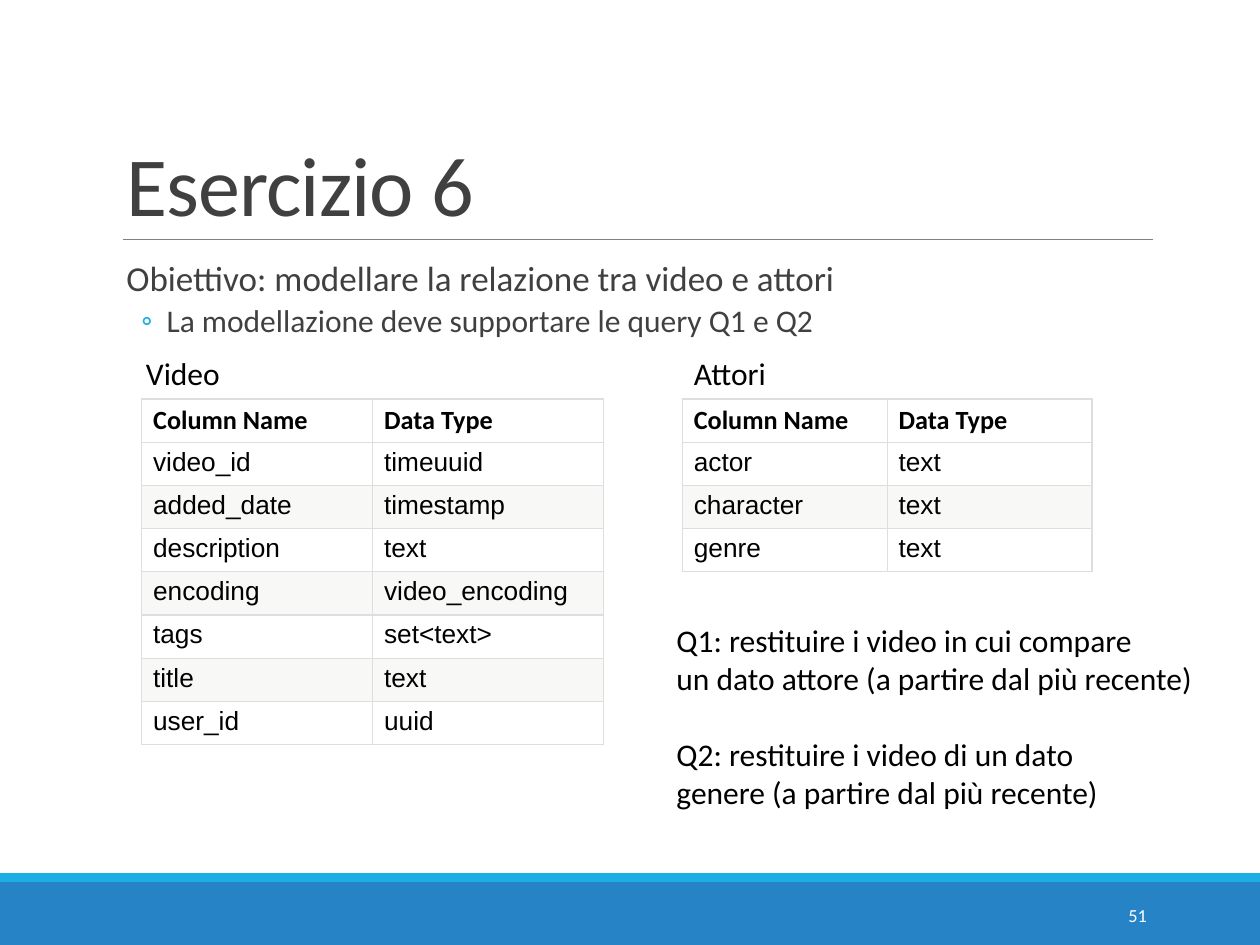
from dataclasses import dataclass

from lxml import etree
from pptx import Presentation
from pptx import util as u
from pptx.dml.color import RGBColor
from pptx.enum import shapes, text
from pptx.oxml import ns

Pt = u.Pt
BLACK, GREY, WHITE, CYAN, BLUE = "000000", "404040", "FFFFFF", "1CADE4", "2683C6"
STRIPE, BORDER, RULE = "F8F8F7", "DEDEDE", "808080"
ROW_H = 24.7


@dataclass
class Schema:
    left: float
    top: float
    col_w: float
    columns: list[tuple[str, str]]


@dataclass
class Label:
    left: float
    top: float
    width: float
    height: float
    paragraphs: list[str]


SCHEMAS = [
    Schema(81, 228, 132, [
        ("video_id", "timeuuid"), ("added_date", "timestamp"),
        ("description", "text"), ("encoding", "video_encoding"),
        ("tags", "set<text>"), ("title", "text"), ("user_id", "uuid"),
    ]),
    Schema(390, 228, 117, [
        ("actor", "text"), ("character", "text"), ("genre", "text"),
    ]),
]

LABELS = [
    Label(76.3, 199, 57.6, 29, ["Video"]),
    Label(389.5, 199, 56, 29, ["Attori"]),
    Label(379.5, 351.5, 313, 116.5, [
        "Q1: restituire i video in cui compare\nun dato attore (a partire dal più recente)",
        "Q2: restituire i video di un dato\ngenere (a partire dal più recente)",
    ]),
]


def rgb(value: str) -> RGBColor:
    return RGBColor.from_string(value)


def sub(parent, tag: str, **attrs):
    """Append a DrawingML child element."""
    return etree.SubElement(parent, ns.qn(tag), attrs)


def add_run(p, words: str, size: float, color: str, font="Calibri", bold=False):
    r = p.add_run()
    r.text = words
    r.font.size, r.font.name, r.font.bold = Pt(size), font, bold
    r.font.color.rgb = rgb(color)
    return r


def add_box(s, left: float, top: float, width: float, height: float,
            anchor=text.MSO_ANCHOR.TOP):
    tf = s.shapes.add_textbox(Pt(left), Pt(top), Pt(width), Pt(height)).text_frame
    tf.word_wrap = True
    tf.vertical_anchor = anchor
    return tf


def add_band(s, top: float, height: float, color: str) -> None:
    sp = s.shapes.add_shape(shapes.MSO_SHAPE.RECTANGLE, 0, Pt(top), Pt(720), Pt(height))
    sp.shadow.inherit = False
    sp.fill.solid()
    sp.fill.fore_color.rgb = rgb(color)
    sp.line.fill.background()


def add_rule(s) -> None:
    line = s.shapes.add_connector(
        shapes.MSO_CONNECTOR.STRAIGHT, Pt(70.5), Pt(137), Pt(659), Pt(137))
    line.line.color.rgb = rgb(RULE)
    line.line.width = Pt(0.5)
    sub(line._element.spPr, "a:effectLst")


def add_title(s) -> None:
    tf = add_box(s, 65, 22.5, 594, 114.5, text.MSO_ANCHOR.BOTTOM)
    p = tf.paragraphs[0]
    p.line_spacing = 0.85
    r = add_run(p, "Esercizio 6", 48, GREY)
    r._r.get_or_add_rPr().set("spc", "-50")


def add_goal(s) -> None:
    tf = add_box(s, 65, 145.5, 594, 317)
    tf.margin_left = tf.margin_right = 0
    p = tf.paragraphs[0]
    p.line_spacing, p.space_after = 0.9, Pt(2)
    p._p.get_or_add_pPr().set("marL", str(Pt(7.2)))
    add_run(p, "Obiettivo: modellare la relazione tra video e attori", 20, GREY)

    p = tf.add_paragraph()
    p.level = 1
    p.line_spacing, p.space_before, p.space_after = 0.9, Pt(2), Pt(4)
    pPr = p._p.get_or_add_pPr()
    pPr.set("marL", str(Pt(30.2)))
    pPr.set("indent", str(Pt(-14.4)))
    sub(sub(pPr, "a:buClr"), "a:srgbClr", val=CYAN)
    sub(pPr, "a:buFont", typeface="Calibri")
    sub(pPr, "a:buChar", char="◦")
    add_run(p, "La modellazione deve supportare le query Q1 e Q2", 18, GREY)


def add_page_number(s) -> None:
    tf = add_box(s, 584.5, 508.5, 78, 28.5, text.MSO_ANCHOR.MIDDLE)
    p = tf.paragraphs[0]
    p.alignment = text.PP_ALIGN.RIGHT
    add_run(p, "51", 10.5, WHITE)


def format_cell(cell, words: str, row: int) -> None:
    header = row == 0
    cell.margin_left = cell.margin_right = Pt(6.5)
    cell.margin_top = cell.margin_bottom = Pt(3)
    tcPr = cell._tc.get_or_add_tcPr()
    for side in ("a:lnL", "a:lnR", "a:lnT", "a:lnB"):
        ln = sub(tcPr, side, w=str(Pt(0.75)))
        sub(sub(ln, "a:solidFill"), "a:srgbClr", val=BORDER)
    cell.fill.solid()
    striped = row > 0 and row % 2 == 0
    cell.fill.fore_color.rgb = rgb(STRIPE if striped else WHITE)
    add_run(cell.text_frame.paragraphs[0], words, 15, BLACK,
            "Calibri" if header else "Arial", header)


def add_schema(s, schema: Schema) -> None:
    rows = [("Column Name", "Data Type"), *schema.columns]
    table = s.shapes.add_table(
        len(rows), 2, Pt(schema.left), Pt(schema.top),
        Pt(2 * schema.col_w), Pt(ROW_H * len(rows))).table
    table.horz_banding = False
    for col in table.columns:
        col.width = Pt(schema.col_w)
    for i, row in enumerate(rows):
        table.rows[i].height = Pt(ROW_H)
        for j, words in enumerate(row):
            format_cell(table.cell(i, j), words, i)


def add_label(s, label: Label) -> None:
    tf = add_box(s, label.left, label.top, label.width, label.height)
    tf.word_wrap = False
    tf.auto_size = text.MSO_AUTO_SIZE.SHAPE_TO_FIT_TEXT
    for i, paragraph in enumerate(label.paragraphs):
        p = tf.add_paragraph() if i else tf.paragraphs[0]
        if i:
            p.space_before = Pt(22)
        for k, words in enumerate(paragraph.split("\n")):
            if k:
                p.add_line_break()
            add_run(p, words, 18, BLACK)


def main() -> None:
    prs = Presentation()
    prs.slide_width, prs.slide_height = Pt(720), Pt(540)
    s = prs.slides.add_slide(prs.slide_layouts[6])
    add_band(s, 504, 36, BLUE)
    add_band(s, 499, 5, CYAN)
    add_rule(s)
    add_title(s)
    add_goal(s)
    add_page_number(s)
    for schema in SCHEMAS:
        add_schema(s, schema)
    for label in LABELS:
        add_label(s, label)
    prs.save("out.pptx")


if __name__ == "__main__":
    main()
